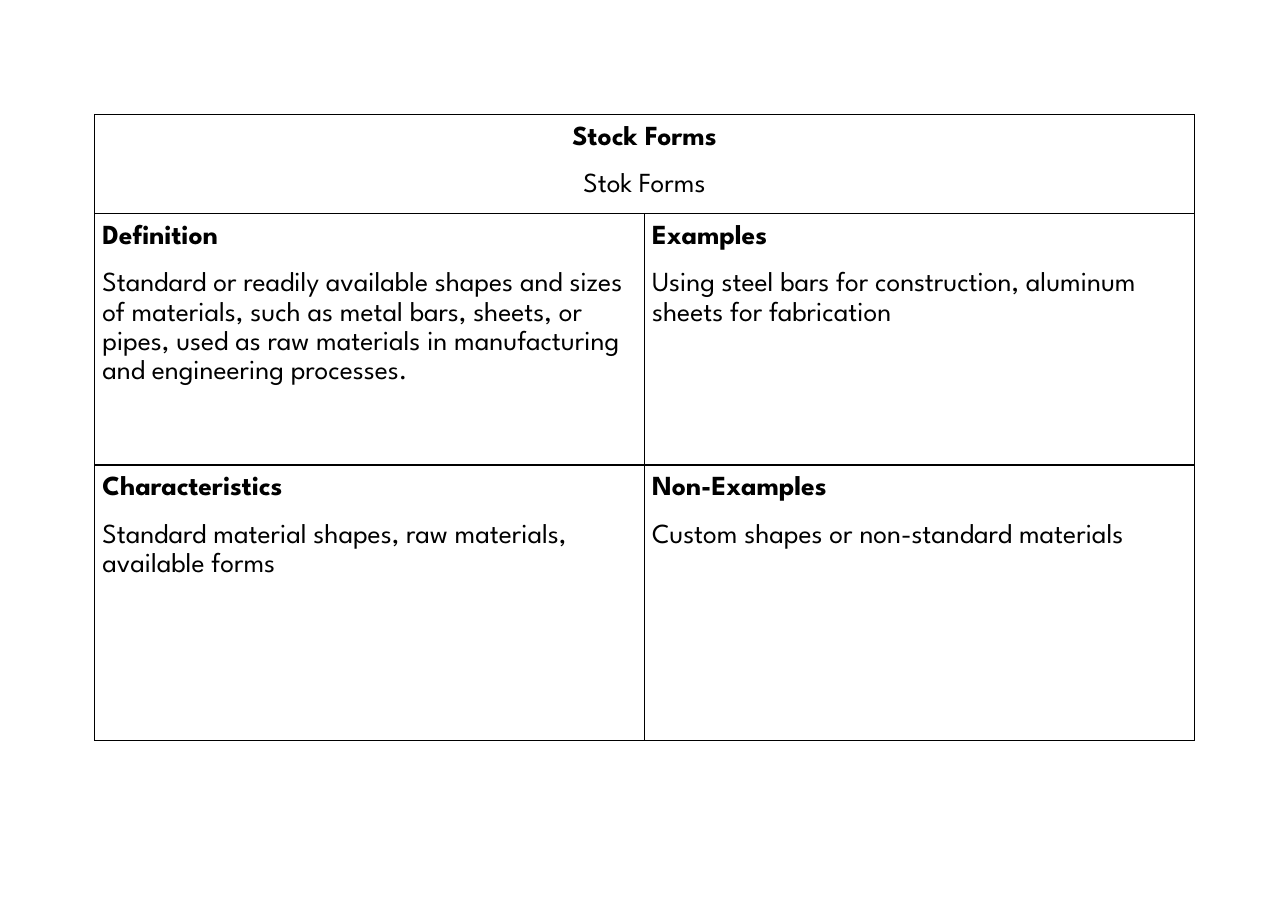
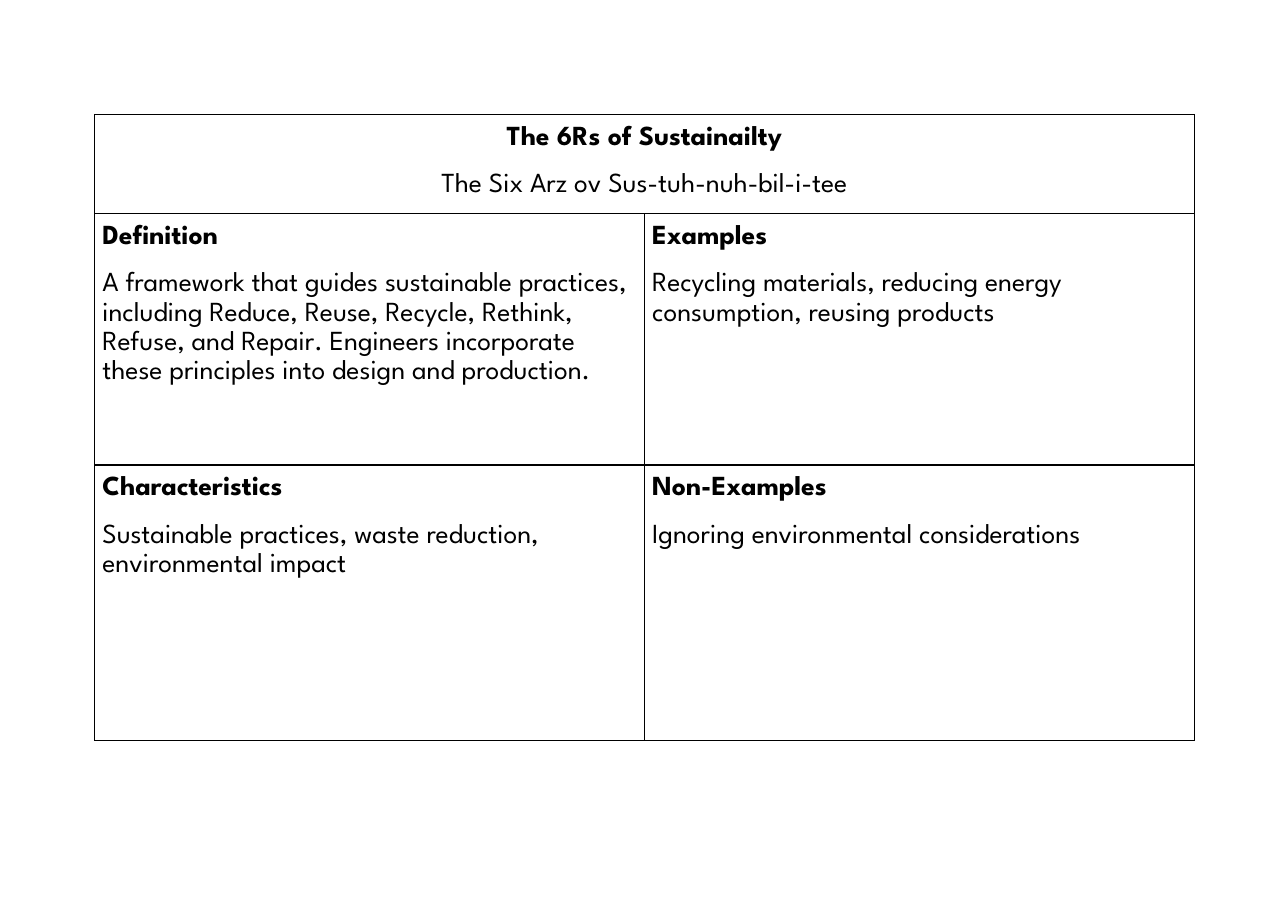
from dataclasses import dataclass

from lxml.etree import SubElement
from pptx import Presentation
from pptx.dml.color import RGBColor
from pptx.enum.text import MSO_ANCHOR as Anchor, PP_ALIGN as Align
from pptx.oxml.ns import qn
from pptx.util import Pt


@dataclass(frozen=True)
class Theme:
    ink: str = "000000"
    font: str = "League Spartan"
    text_size: float = 18
    line_spacing: float = 1.15
    gap: float = 12
    inset: float = 5
    border: float = 1


THEME = Theme()
PAGE_WIDTH, PAGE_HEIGHT = 841.68, 595.44
GRID_LEFT, GRID_TOP = 61.92, 74.88
COLUMN_WIDTHS = (359.28, 359.28)
ROW_HEIGHTS = (64.8, 164.16, 180)
HEADINGS = ("Definition", "Examples", "Characteristics", "Non-Examples")

TERMS = [
    (
        "Stock Forms",
        "Stok Forms",
        (
            "Standard or readily available shapes and sizes of materials, such as "
            "metal bars, sheets, or pipes, used as raw materials in manufacturing "
            "and engineering processes.",
            "Using steel bars for construction, aluminum sheets for fabrication",
            "Standard material shapes, raw materials, available forms",
            "Custom shapes or non-standard materials",
        ),
    ),
    (
        "The 6Rs of Sustainailty",
        "The Six Arz ov Sus-tuh-nuh-bil-i-tee",
        (
            "A framework that guides sustainable practices, including Reduce, Reuse, "
            "Recycle, Rethink, Refuse, and Repair. Engineers incorporate these "
            "principles into design and production.",
            "Recycling materials, reducing energy consumption, reusing products",
            "Sustainable practices, waste reduction, environmental impact",
            "Ignoring environmental considerations",
        ),
    ),
]


def write(frame, text, *, bold=False, align=Align.LEFT, after=0):
    first = not frame.text
    paragraph = frame.paragraphs[0] if first else frame.add_paragraph()
    paragraph.alignment = align
    paragraph.line_spacing = THEME.line_spacing
    paragraph.space_before = Pt(0 if first else THEME.gap)
    paragraph.space_after = Pt(after)
    run = paragraph.add_run()
    run.text = text
    run.font.name = THEME.font
    run.font.size = Pt(THEME.text_size)
    run.font.bold = bold
    run.font.color.rgb = RGBColor.from_string(THEME.ink)


def style_cell(cell):
    cell.margin_left = cell.margin_right = Pt(THEME.inset)
    cell.margin_top = cell.margin_bottom = Pt(THEME.inset)
    cell.vertical_anchor = Anchor.TOP
    properties = cell._tc.get_or_add_tcPr()
    for side in ("L", "R", "T", "B"):
        edge = SubElement(properties, qn(f"a:ln{side}"), w=str(Pt(THEME.border)))
        fill = SubElement(edge, qn("a:solidFill"))
        SubElement(fill, qn("a:srgbClr"), val=THEME.ink)
    cell.fill.background()


def add_grid(slide):
    grid = slide.shapes.add_table(
        len(ROW_HEIGHTS), len(COLUMN_WIDTHS), Pt(GRID_LEFT), Pt(GRID_TOP),
        Pt(sum(COLUMN_WIDTHS)), Pt(sum(ROW_HEIGHTS)),
    ).table
    grid.first_row = grid.horz_banding = False
    for column, width in zip(grid.columns, COLUMN_WIDTHS):
        column.width = Pt(width)
    for row, height in zip(grid.rows, ROW_HEIGHTS):
        row.height = Pt(height)
    for cell in grid.iter_cells():
        style_cell(cell)
    return grid


def add_term_slide(deck, term, pronunciation, answers):
    grid = add_grid(deck.slides.add_slide(deck.slide_layouts[6]))
    header = grid.cell(0, 0)
    header.merge(grid.cell(0, 1))
    write(header.text_frame, term, bold=True, align=Align.CENTER)
    write(header.text_frame, pronunciation, align=Align.CENTER, after=THEME.gap)
    for index, (heading, answer) in enumerate(zip(HEADINGS, answers)):
        row, column = divmod(index, len(COLUMN_WIDTHS))
        quadrant = grid.cell(row + 1, column).text_frame
        write(quadrant, heading, bold=True)
        write(quadrant, answer)


def main():
    deck = Presentation()
    deck.slide_width, deck.slide_height = Pt(PAGE_WIDTH), Pt(PAGE_HEIGHT)
    for term, pronunciation, answers in TERMS:
        add_term_slide(deck, term, pronunciation, answers)
    deck.save("out.pptx")


if __name__ == "__main__":
    main()
